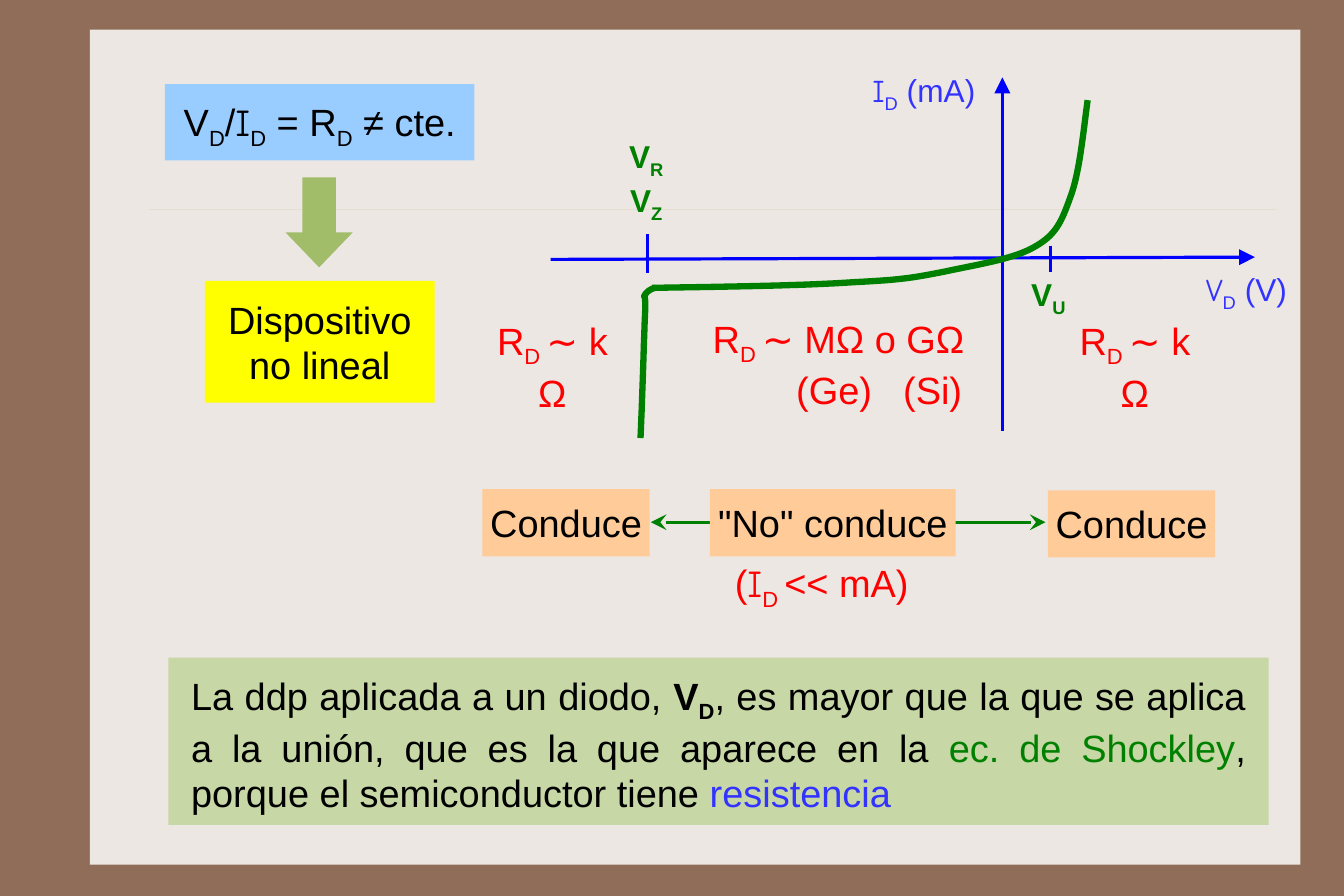
import pptx
import pptx.util
import pptx.dml.color
from lxml import etree
from pptx.enum.shapes import MSO_CONNECTOR, MSO_SHAPE
from pptx.enum.text import MSO_ANCHOR, MSO_AUTO_SIZE, PP_ALIGN
from pptx.oxml.ns import qn

# Lengths are cells of a square grid, ten cells to the inch.
CELL = pptx.util.Inches(0.1)
SLIDE_SIZE = pptx.util.Pt(850.5), pptx.util.Pt(567)

THEME = {
    "edge": "906D58", "paper": "EDE7E3", "rule": "CBBD83",
    "axis": "0000FF", "curve": "008000", "arrow": "A1BD69",
    "yellow": "FFFF00", "sky": "99CCFF", "peach": "FFCC99", "sage": "C7D7A5",
    "black": "000000", "red": "FF0000", "green": "008000", "blue": "3333FF",
    "body": 24, "label": 20, "font": "Arial", "symbol font": "Comic Neue",
}

# Runs are (text, style, style, ...); styles are "sub", "symbol", "bold" or a colour.
OHMIC = [("R",), ("D ", "sub"), ("∼ k Ω",)]
RATIO = [("V",), ("D", "sub"), ("/",), ("I", "symbol"), ("D", "sub"),
         (" = R",), ("D", "sub"), (" ≠ cte.",)]
SUMMARY = [("La ddp aplicada a un diodo, ",), ("V", "bold"), ("D", "bold", "sub"),
           (", es mayor que la que se aplica a la unión, que es la que aparece en la ",),
           ("ec. de Shockley", "green"), (", porque el semiconductor tiene ",),
           ("resistencia", "blue")]
BLOCKING = [("R",), ("D ", "sub"), ("∼ MΩ o GΩ",)]
MATERIALS = [("\t(Ge)\t(Si)",)]
MATERIAL_TABS = (17.6, 27)
LEAKAGE = [("(",), ("I", "symbol"), ("D ", "sub"), ("<< mA)",)]

# Axis captions: symbol, unit, box
AXIS_CAPTIONS = [("I", " (mA)", (75.4, 4.9, 11.6, 5.9)),
                 ("V", " (V)", (104.8, 22.4, 9.5, 5.9))]
# Voltage marks: subscript, box
VOLTAGES = [("Z", (54.3, 14.6, 5, 6)), ("R", (54.2, 10.7, 5.2, 6)),
            ("U", (89.6, 22.9, 5.1, 5.9))]
# Conduction zones: text, left, top, width
ZONES = [("Conduce", 42.4, 43, 14.7), ('"No" conduce', 62.4, 43, 21.6),
         ("Conduce", 92.1, 43.1, 14.7)]
ZONE_HEIGHT = 5.9

# Lines: start, end, colour, points, head, tail
RULE = ((13.1, 18.4), (112.2, 18.4), "rule", 0.25, None, None)
RULE_OPACITY = "30000"
LINES = [((88.1, 37.9), (88.1, 6.8), "axis", 2, None, "triangle"),
         ((48.4, 22.8), (110.3, 22.6), "axis", 2, None, "triangle"),
         ((56.9, 20.6), (56.9, 24), "axis", 2, None, None),
         ((92.3, 21.6), (92.3, 23.9), "axis", 2, None, None),
         ((57.2, 45.9), (91.9, 45.9), "curve", 2, "stealth", "stealth")]

# Chained cubic curves: a start, then two handles and an end for each piece
FORWARD = [(95.6, 8.8), (95.2, 11.8), (94.9, 14.9), (94.2, 17),
           (93.4, 19.2), (93, 20.5), (91.1, 21.6), (89.2, 22.8), (85.6, 23.3), (82.9, 23.9),
           (80.3, 24.4), (79.3, 24.6), (75.1, 24.8), (70.8, 25.1), (64.1, 25.2), (57.3, 25.3)]
BREAKDOWN = [(57.6, 25.3), (57.2, 25.4), (56.9, 25.6), (56.7, 25.9),
             (56.5, 26.3), (56.8, 25.5), (56.7, 27.6), (56.6, 29.7), (56.5, 34.1), (56.3, 38.5)]
STEPS = 16


def cells(*lengths):
    return [round(length * CELL) for length in lengths]


def colour(name):
    return pptx.dml.color.RGBColor.from_string(THEME[name])


def apply(target, values):
    for name, value in values.items():
        setattr(target, name, value)


def add_block(slide, box, fill, preset=MSO_SHAPE.RECTANGLE):
    block = slide.shapes.add_shape(preset, *cells(*box))
    block.shadow.inherit = False
    block.fill.solid()
    block.fill.fore_color.rgb = colour(fill)
    block.line.fill.background()
    return block


def add_line(slide, start, end, ink, points, head, tail):
    line = slide.shapes.add_connector(MSO_CONNECTOR.STRAIGHT, *cells(*start, *end))
    line.line.color.rgb = colour(ink)
    line.line.width = pptx.util.Pt(points)
    outline = line.line._get_or_add_ln()
    for tag, arrow in (("a:headEnd", head), ("a:tailEnd", tail)):
        if arrow:
            etree.SubElement(outline, qn(tag), type=arrow, w="lg", len="lg")
    etree.SubElement(line._element.spPr, qn("a:effectLst"))
    return line


def add_rule(slide):
    rule = add_line(slide, *RULE)
    ink = rule._element.spPr.find(".//" + qn("a:srgbClr"))
    etree.SubElement(ink, qn("a:alpha"), val=RULE_OPACITY)


def curve_points(nodes):
    """Sample chained cubic Bézier pieces as a list of points."""
    points = [nodes[0]]
    for first in range(0, len(nodes) - 1, 3):
        a, b, c, d = nodes[first:first + 4]
        for step in range(1, STEPS + 1):
            t = step / STEPS
            u = 1 - t
            points.append(tuple(u**3 * p + 3 * u * u * t * q + 3 * u * t * t * r + t**3 * s
                                for p, q, r, s in zip(a, b, c, d)))
    return points


def add_curve(slide, nodes):
    start, *rest = [cells(*point) for point in curve_points(nodes)]
    builder = slide.shapes.build_freeform(*start)
    builder.add_line_segments(rest, close=False)
    curve = builder.convert_to_shape()
    curve.shadow.inherit = False
    curve.fill.background()
    curve.line.color.rgb = colour("curve")
    curve.line.width = pptx.util.Pt(4)


def write(paragraph, runs, size, ink, align):
    paragraph.alignment = align
    for text, *styles in runs:
        run = paragraph.add_run()
        run.text = text
        apply(run.font, {
            "size": pptx.util.Pt(THEME[size]),
            "name": THEME["symbol font" if "symbol" in styles else "font"],
            "bold": "bold" in styles})
        run.font.color.rgb = colour(next((s for s in styles if s in THEME), ink))
        if "sub" in styles:
            run._r.get_or_add_rPr().set("baseline", "-25000")


def add_text(slide, box, runs, fill=None, size="body", ink="black",
             align=PP_ALIGN.CENTER, wrap=False, anchor=MSO_ANCHOR.TOP, insets=(1, 1.3)):
    holder = add_block(slide, box, fill) if fill else slide.shapes.add_textbox(*cells(*box))
    side, end = cells(*insets)
    frame = holder.text_frame
    apply(frame, {"margin_left": side, "margin_right": side,
                  "margin_top": end, "margin_bottom": end,
                  "word_wrap": wrap, "vertical_anchor": anchor,
                  "auto_size": MSO_AUTO_SIZE.SHAPE_TO_FIT_TEXT})
    write(frame.paragraphs[0], runs, size, ink, align)
    return frame


def add_diode_plot(slide):
    for nodes in (FORWARD, BREAKDOWN):
        add_curve(slide, nodes)
    for symbol, unit, box in AXIS_CAPTIONS:
        add_text(slide, box, [(symbol, "symbol"), ("D", "sub"), (unit,)],
                 size="label", ink="blue")
    for subscript, box in VOLTAGES:
        add_text(slide, box, [("V", "bold"), (subscript, "bold", "sub")],
                 size="label", ink="green")
    for left in (41.3, 92.5):
        add_text(slide, (left, 26.6, 14.5, 6.7), OHMIC, ink="red", wrap=True)
    blocking = add_text(slide, (51.4, 26.4, 44.6, 10.7), BLOCKING, ink="red", wrap=True)
    materials = blocking.add_paragraph()
    tabs = etree.SubElement(materials._p.get_or_add_pPr(), qn("a:tabLst"))
    for position in cells(*MATERIAL_TABS):
        etree.SubElement(tabs, qn("a:tab"), pos=str(position), algn="l")
    write(materials, MATERIALS, "body", "red", PP_ALIGN.LEFT)


def main():
    deck = pptx.Presentation()
    deck.slide_width, deck.slide_height = SLIDE_SIZE
    slide = deck.slides.add_slide(deck.slide_layouts[6])
    slide.background.fill.solid()
    slide.background.fill.fore_color.rgb = colour("edge")
    add_block(slide, (7.9, 2.6, 106.4, 73.4), "paper")
    add_rule(slide)
    for line in LINES:
        add_line(slide, *line)
    add_diode_plot(slide)

    add_text(slide, (14.5, 7.4, 27.2, 6.7), RATIO, "sky")
    arrow = add_block(slide, (25.1, 15.6, 5.9, 7.9), "arrow", MSO_SHAPE.DOWN_ARROW)
    arrow.adjustments[0], arrow.adjustments[1] = 0.5, 0.52
    add_text(slide, (18, 24.7, 20.2, 10.7), [("Dispositivo no lineal",)], "yellow",
             wrap=True, anchor=MSO_ANCHOR.MIDDLE)

    for name, left, top, width in ZONES:
        add_text(slide, (left, top, width, ZONE_HEIGHT), [(name,)], "peach", insets=(0.6, 0.9))
    add_text(slide, (63.6, 48.7, 18.3, 5), LEAKAGE, ink="red",
             align=PP_ALIGN.LEFT, wrap=True, insets=(1, 0.5))
    add_text(slide, (14.8, 57.8, 96.7, 14.7), SUMMARY, "sage",
             align=PP_ALIGN.JUSTIFY, wrap=True, insets=(2, 1.3))
    deck.save("out.pptx")


if __name__ == "__main__":
    main()
